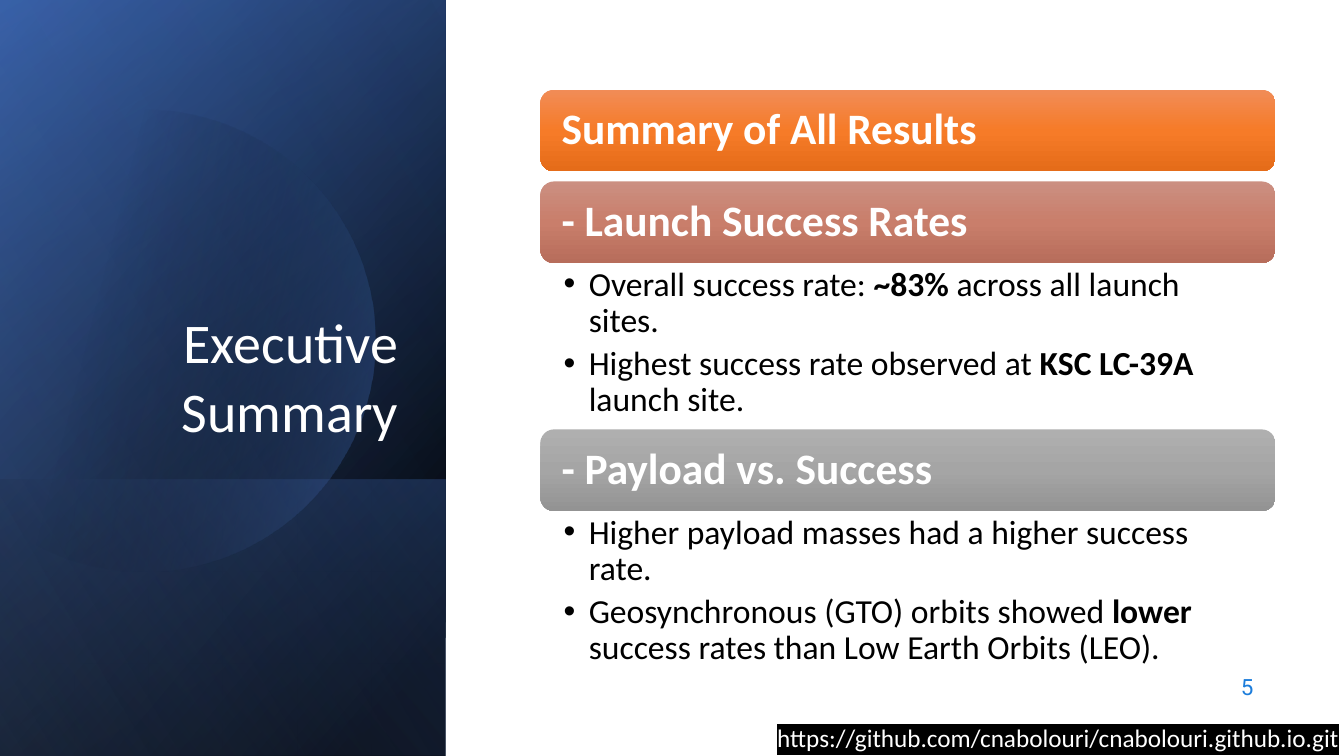
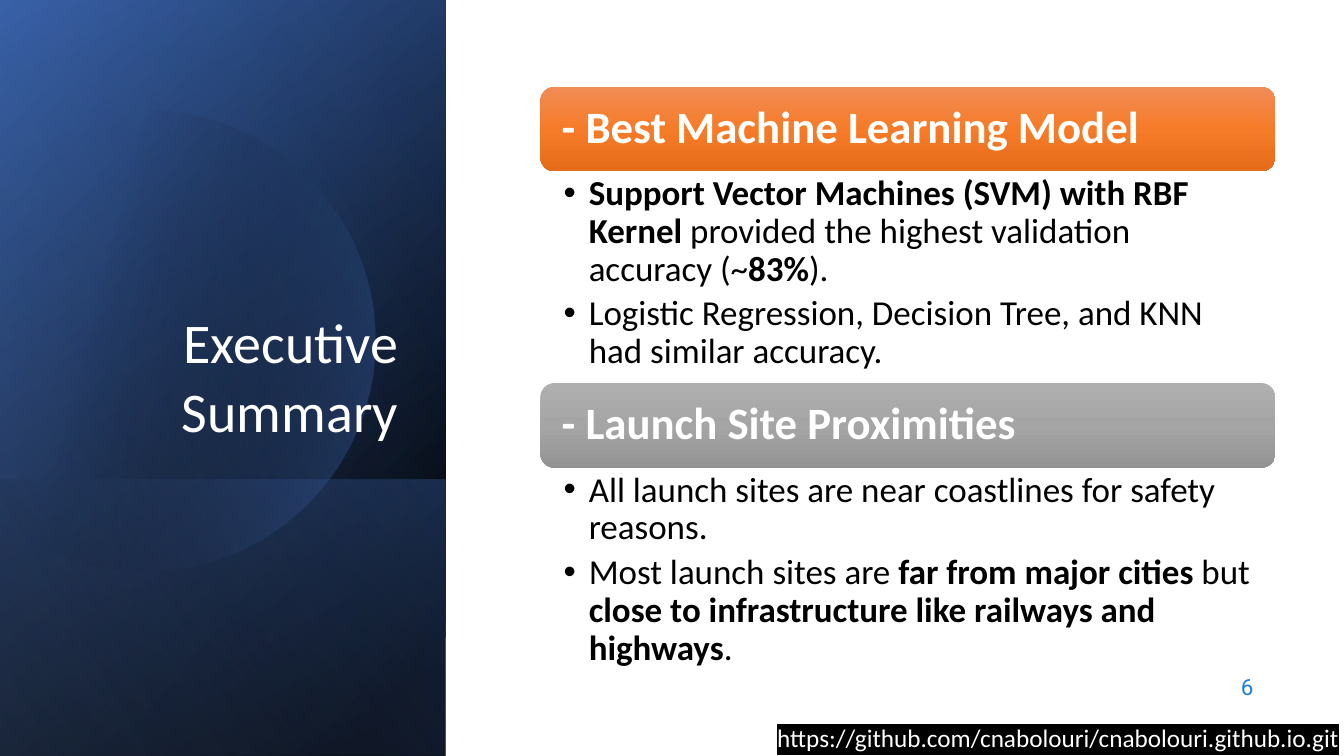
from math import cos, radians, sin

from pptx import Presentation
from pptx.dml.color import RGBColor
from pptx.enum.shapes import MSO_SHAPE
from pptx.enum.text import MSO_ANCHOR, MSO_AUTO_SIZE, PP_ALIGN
from pptx.oxml import parse_xml
from pptx.oxml.ns import nsdecls, qn
from pptx.util import Inches, Pt

RECT, ROUNDED = MSO_SHAPE.RECTANGLE, MSO_SHAPE.ROUNDED_RECTANGLE
LEFT, RIGHT = PP_ALIGN.LEFT, PP_ALIGN.RIGHT
TOP, MIDDLE, BOTTOM = MSO_ANCHOR.TOP, MSO_ANCHOR.MIDDLE, MSO_ANCHOR.BOTTOM
NO_FIT = MSO_AUTO_SIZE.NONE

WHITE = RGBColor(0xFF, 0xFF, 0xFF)
BLACK = RGBColor(0x00, 0x00, 0x00)
NAVY = RGBColor(0x2F, 0x55, 0x97)
BLUE = RGBColor(0x44, 0x72, 0xC4)
PALE_BLUE = RGBColor(0x8F, 0xAA, 0xDC)
NUMBER_BLUE = RGBColor(0x1C, 0x7D, 0xDB)
ORANGE = [RGBColor(0xF1, 0x8C, 0x57), RGBColor(0xF6, 0x7B, 0x28), RGBColor(0xE5, 0x6C, 0x19)]
ROSE = [RGBColor(0xCB, 0x8F, 0x81), RGBColor(0xC9, 0x7E, 0x6B), RGBColor(0xB7, 0x6D, 0x5B)]
GRAY = [RGBColor(0xAF, 0xAF, 0xAF), RGBColor(0xA5, 0xA5, 0xA5), RGBColor(0x93, 0x93, 0x93)]

PANEL_W, PANEL_H = 4.42, 7.5
LIST_X, LIST_W = 5.36, 7.29
BAR_GAP = 0.1
URL = "https://github.com/cnabolouri/cnabolouri.github.io.git"

SLIDES = [
    dict(number=5, top=0.89, bar_h=0.81, list_h=1.65, bar_size=31, list_size=24, sections=[
        ("Summary of All Results", ORANGE, []),
        ("- Launch Success Rates", ROSE, [
            "Overall success rate: **~83%** across all launch sites.",
            "Highest success rate observed at **KSC LC-39A** launch site."]),
        ("- Payload vs. Success", GRAY, [
            "Higher payload masses had a higher success rate.",
            "Geosynchronous (GTO) orbits showed **lower** success rates than Low Earth Orbits (LEO)."]),
    ]),
    dict(number=6, top=0.86, bar_h=0.84, list_h=2.1, bar_size=32, list_size=25, sections=[
        ("- Best Machine Learning Model", ORANGE, [
            "**Support Vector Machines (SVM) with RBF Kernel** provided the highest validation "
            "accuracy (~**83%**).",
            "Logistic Regression, Decision Tree, and KNN had similar accuracy."]),
        ("- Launch Site Proximities", GRAY, [
            "All launch sites are near coastlines for safety reasons.",
            "Most launch sites are **far from major cities** but "
            "**close to infrastructure like railways and highways**."]),
    ]),
]


def fill_gradient(sp, stops, angle):
    sp.shadow.inherit = False
    sp.line.fill.background()
    sp.fill.gradient()
    grad = sp._element.spPr.find(qn("a:gradFill"))
    gs = "".join(
        f'<a:gs pos="{pos * 1000}"><a:srgbClr val="{color}">'
        f'<a:alpha val="{alpha * 1000}"/></a:srgbClr></a:gs>'
        for pos, color, alpha in stops)
    new = parse_xml(
        f'<a:gradFill {nsdecls("a")} rotWithShape="1"><a:gsLst>{gs}</a:gsLst>'
        f'<a:lin ang="{angle * 60000}" scaled="0"/></a:gradFill>')
    grad.getparent().replace(grad, new)


def set_text(sp, lines, size, color, font="Calibri", bold=False, align=LEFT, anchor=TOP,
             insets=(0.1, 0.05, 0.1, 0.05), spacing=1.0, after=0, hanging=0, wrap=True):
    tf = sp.text_frame
    tf.auto_size, tf.word_wrap, tf.vertical_anchor = NO_FIT, wrap, anchor
    tf.margin_left, tf.margin_top, tf.margin_right, tf.margin_bottom = map(Inches, insets)
    for i, line in enumerate(lines):
        p = tf.add_paragraph() if i else tf.paragraphs[0]
        p.alignment, p.line_spacing = align, spacing
        p.space_before, p.space_after = Pt(0), Pt(after)
        if hanging:
            pPr = p._p.get_or_add_pPr()
            pPr.set("marL", str(Inches(hanging)))
            pPr.set("indent", str(-Inches(hanging)))
        for j, part in enumerate(line.split("**")):
            if part:
                r = p.add_run()
                r.text = part
                r.font.name, r.font.size = font, Pt(size)
                r.font.bold = bold or j % 2 == 1
                r.font.color.rgb = color


prs = Presentation()
prs.slide_width, prs.slide_height = Inches(13.33), Inches(7.5)
layout = prs.slide_layouts[3]
slides = [prs.slides.add_slide(layout) for _ in SLIDES]

panel = []
for height, stops, angle in [
    (PANEL_H, [(8, BLACK, 100), (100, NAVY, 100)], 50),
    (PANEL_H, [(0, BLACK, 0), (99, BLUE, 46)], 30),
    (2.74, [(2, BLUE, 29), (100, BLACK, 30)], 130),
    (PANEL_H, [(0, BLACK, 0), (99, PALE_BLUE, 11)], 120),
]:
    x, y = (PANEL_W - height) / 2, PANEL_H - (height + PANEL_W) / 2
    sp = slides[0].shapes.add_shape(RECT, Inches(x), Inches(y), Inches(height), Inches(PANEL_W))
    sp.rotation = 90
    sp._element.spPr.xfrm.set("flipH", "1")
    fill_gradient(sp, stops, angle)
    panel.append(sp)

arc = [(Inches(1.43 + 2.29 * cos(radians(a))), Inches(3.38 + 2.29 * sin(radians(a))))
       for a in range(-128, 129, 2)]
builder = slides[0].shapes.build_freeform(*arc[0])
builder.add_line_segments(arc[1:], close=True)
disc = builder.convert_to_shape()
fill_gradient(disc, [(29, BLACK, 0), (100, BLUE, 43)], 14)
panel.insert(3, disc)
for sp in panel:
    layout.shapes._spTree.append(sp._element)

for s, data in zip(slides, SLIDES):
    title = s.shapes.title
    title.left, title.top, title.width, title.height = map(Inches, (0.64, 1.84, 3.41, 2.62))
    set_text(title, ["Executive", "Summary"], 40, WHITE, align=RIGHT, anchor=BOTTOM,
             spacing=0.9, after=6)

    bodies = iter([ph for ph in s.placeholders if ph.placeholder_format.idx in (1, 2)])
    y = data["top"]
    for heading, colors, bullets in data["sections"]:
        bar = s.shapes.add_shape(ROUNDED, Inches(LIST_X), Inches(y), Inches(LIST_W),
                                 Inches(data["bar_h"]))
        fill_gradient(bar, [(pos, c, 100) for pos, c in zip((0, 50, 100), colors)], 90)
        set_text(bar, [heading], data["bar_size"], WHITE, bold=True, anchor=MIDDLE,
                 insets=(0.17, 0.1, 0.17, 0.1), spacing=0.9)
        y += data["bar_h"]
        if not bullets:
            y += BAR_GAP
            continue
        body = next(bodies)
        body.left, body.top = Inches(LIST_X), Inches(y)
        body.width, body.height = Inches(LIST_W), Inches(data["list_h"])
        set_text(body, bullets, data["list_size"], BLACK, insets=(0.23, 0.04, 0.24, 0.04),
                 spacing=0.9, after=5, hanging=0.25)
        y += data["list_h"]

    number = s.shapes.add_textbox(Inches(9.53), Inches(6.59), Inches(3), Inches(0.44))
    set_text(number, [str(data["number"])], 16, NUMBER_BLUE, font="Roboto", align=RIGHT,
             anchor=MIDDLE)

    link = s.shapes.add_textbox(Inches(7.61), Inches(7.12), Inches(5.72), Inches(0.38))
    set_text(link, [URL], 18, WHITE, wrap=False)
    rPr = link.text_frame.paragraphs[0].runs[0].font._element
    rPr.find(qn("a:solidFill")).addnext(parse_xml(
        f'<a:highlight {nsdecls("a")}><a:srgbClr val="{BLACK}"/></a:highlight>'))

prs.save("out.pptx")
